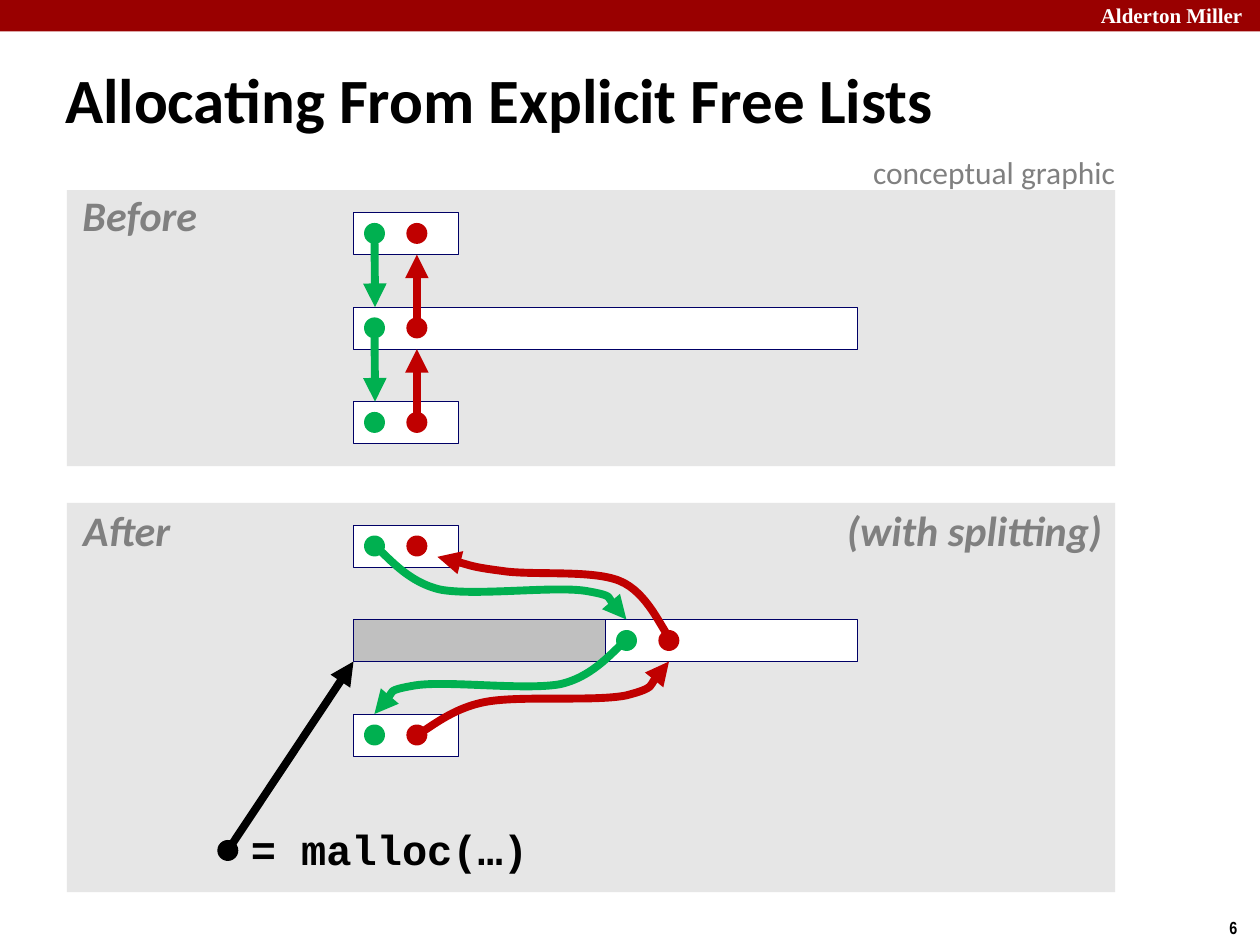
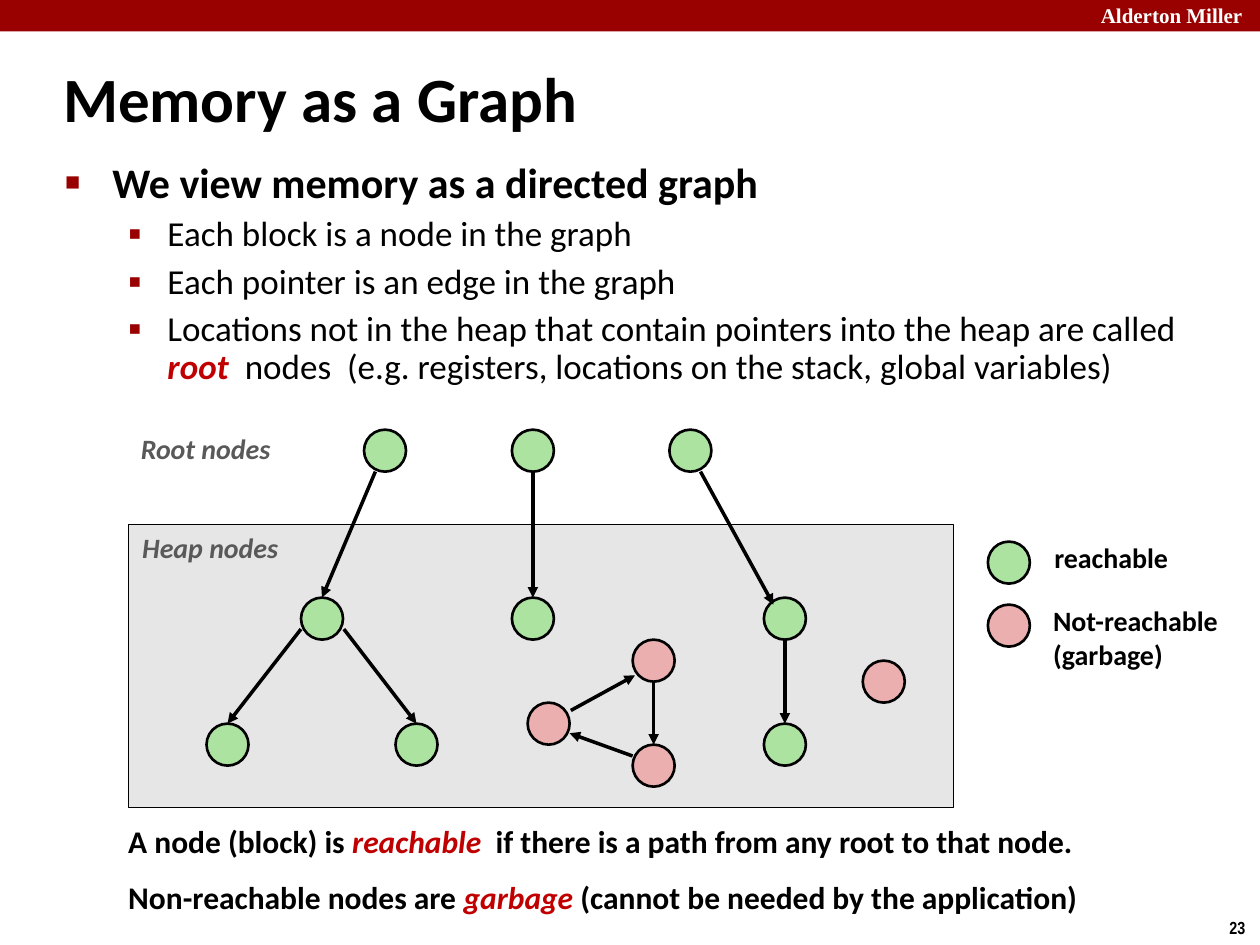
"""Build two lecture slides on explicit free lists and memory graphs."""
import lxml.etree
import pptx
import pptx.dml.color
import pptx.enum.shapes
import pptx.enum.text
import pptx.oxml.ns
import pptx.util

Pt = pptx.util.Pt
qn = pptx.oxml.ns.qn
rgb = pptx.dml.color.RGBColor.from_string
SubElement = lxml.etree.SubElement
RECT = pptx.enum.shapes.MSO_SHAPE.RECTANGLE
OVAL = pptx.enum.shapes.MSO_SHAPE.OVAL
STRAIGHT = pptx.enum.shapes.MSO_CONNECTOR.STRAIGHT
LEFT = pptx.enum.text.PP_ALIGN.LEFT
CENTER = pptx.enum.text.PP_ALIGN.CENTER

BLACK, WHITE, NAVY = "000000", "FFFFFF", "000066"
BAND, PANEL, USED = "990000", "E6E6E6", "C0C0C0"
GREEN, RED = "00B050", "C00000"
REACHABLE, GARBAGE = "ACE3A1", "EBAFAF"
GRAY, DARK_GRAY = "808080", "595959"


def paint(shape, fill=None, line=None, width=0.25):
    """Colour a filled shape, or an arrow when no fill is given."""
    if line:
        shape.line.color.rgb = rgb(line)
        shape.line.width = Pt(width)
    else:
        shape.line.fill.background()
    if fill:
        shape.fill.solid()
        shape.fill.fore_color.rgb = rgb(fill)
    else:
        SubElement(shape.line._get_or_add_ln(), qn("a:tailEnd"), type="triangle")
    SubElement(shape._element.spPr, qn("a:effectLst"))


def write(paragraph, text, size, color=BLACK, font="Calibri", bold=True, italic=False):
    """Set a paragraph's text; parts between asterisks become red bold italics."""
    first, *others = text.split("*")
    paragraph.text = first
    for part in others:
        paragraph.add_run().text = part
    for index, run in enumerate(paragraph.runs):
        marked = bool(others) and index % 2 == 1
        run.font.name = font
        run.font.size = Pt(size)
        run.font.bold = bold or marked
        run.font.italic = italic or marked
        run.font.color.rgb = rgb(RED if marked else color)


prs = pptx.Presentation()
prs.slide_width, prs.slide_height = Pt(720), Pt(540)
lists = prs.slides.add_slide(prs.slide_layouts[5])
graph = prs.slides.add_slide(prs.slide_layouts[1])
labels = []

for slide, heading, left, top, width, number in (
    (lists, "Allocating From Explicit Free Lists", 30, 36.7, 630, "6"),
    (graph, "Memory as a Graph", 28.8, 36, 499, "23"),
):
    band = slide.shapes.add_shape(RECT, 0, 0, Pt(720), Pt(18))
    paint(band, BAND)
    title = slide.shapes.title
    title.left, title.top, title.width, title.height = Pt(left), Pt(top), Pt(width), Pt(45.4)
    title.text_frame.auto_size = pptx.enum.text.MSO_AUTO_SIZE.NONE
    title.text_frame.vertical_anchor = pptx.enum.text.MSO_ANCHOR.MIDDLE
    heading_line = title.text_frame.paragraphs[0]
    write(heading_line, heading, 36)
    heading_line.alignment = LEFT
    heading_line.line_spacing = 0.87
    labels += [
        (slide, "Alderton Miller", 622, -2, 103, 21.6, 12, WHITE, "Times New Roman", False, False),
        (slide, number, 695.5, 520.6, 24.5, 19.4, 10, BLACK, "Arial Narrow", False, False),
    ]

for top, height in ((287.3, 222.5), (108.7, 157.7)):
    panel = lists.shapes.add_shape(RECT, Pt(38.2), Pt(top), Pt(599), Pt(height))
    paint(panel, PANEL)

for left, top, width, fill in (
    (202, 121.5, 60, WHITE),
    (202, 175.5, 288, WHITE),
    (202, 229.5, 60, WHITE),
    (202, 300.3, 60, WHITE),
    (346, 354, 144, WHITE),
    (202, 354, 144, USED),
    (202, 408.3, 60, WHITE),
):
    block = lists.shapes.add_shape(RECT, Pt(left), Pt(top), Pt(width), Pt(24))
    paint(block, fill, NAVY)

pointers = [(130.2, 486, BLACK)]
for next_x, y in ((214, 133.4), (214, 187.4), (214, 241.4), (214, 312), (358, 366), (214, 420)):
    pointers += [(next_x, y, GREEN), (next_x + 24.2, y, RED)]
for x, y, color in pointers:
    dot = lists.shapes.add_shape(OVAL, Pt(x - 6), Pt(y - 6), Pt(12), Pt(12))
    paint(dot, color)

links = [((130.2, 486), (202, 378), BLACK)]
for step in (0, 54):
    links += [
        ((214, 133.4 + step), (214.3, 175.5 + step), GREEN),
        ((238.2, 187.4 + step), (238.2, 145.5 + step), RED),
    ]
for start, end, color in links:
    link = lists.shapes.add_connector(STRAIGHT, *map(Pt, start + end))
    paint(link, line=color, width=4.5)

next_curve = [
    (214, 312), (220.3, 316.1), (231.8, 332.6), (252, 337), (272.2, 340.6),
    (316.8, 334.8), (334.8, 337.7), (352.1, 340.6), (353.5, 350.6), (358, 354),
]
mirrored_curve = [(572 - x, y + 54) for x, y in next_curve]
up_curve = [
    (383, 365), (378, 359.3), (370, 338.4), (354.2, 332), (338.4, 325.4),
    (303.8, 329), (286.6, 326.2), (269.3, 324), (257.8, 319.7), (250, 318.2),
]
back_curve = [
    (238.3, 419.8), (244.8, 416.9), (257.8, 404.6), (278, 401), (298, 397.4),
    (339.8, 401), (357.8, 397.4), (375, 393), (377.3, 382.3), (382.3, 378),
]
for points, color in (
    (next_curve, GREEN), (mirrored_curve, GREEN), (up_curve, RED), (back_curve, RED),
):
    (x, y), *controls = points
    builder = lists.shapes.build_freeform(Pt(x), Pt(y))
    builder.add_line_segments([(Pt(x), Pt(y)) for x, y in controls], close=False)
    curve = builder.convert_to_shape()
    curve.fill.background()
    outline = curve._element.find(".//" + qn("a:path"))
    segments = outline.findall(qn("a:lnTo"))
    for first in range(0, len(segments), 3):
        bezier = SubElement(outline, qn("a:cubicBezTo"))
        for segment in segments[first:first + 3]:
            bezier.append(segment[0])
            outline.remove(segment)
    paint(curve, line=color, width=4.5)

heap = graph.shapes.add_shape(RECT, Pt(73.5), Pt(299.5), Pt(471.6), Pt(162))
paint(heap, PANEL, BLACK, 0.5)

nodes = {}
for name, left, top, fill in (
    ("root 1", 208, 245.5, REACHABLE),
    ("root 2", 292.5, 245.5, REACHABLE),
    ("root 3", 382.5, 245.5, REACHABLE),
    ("parent", 172, 341.5, REACHABLE),
    ("single", 292.5, 341.5, REACHABLE),
    ("chain", 436.5, 341.5, REACHABLE),
    ("left child", 118, 413.5, REACHABLE),
    ("right child", 226, 413.5, REACHABLE),
    ("chain end", 436.5, 413.5, REACHABLE),
    ("cycle top", 361.5, 365.5, GARBAGE),
    ("cycle bottom", 361.5, 425.5, GARBAGE),
    ("cycle left", 301.5, 401.5, GARBAGE),
    ("lone", 493, 377.5, GARBAGE),
    ("reachable key", 564.5, 309.5, REACHABLE),
    ("garbage key", 564.5, 345.5, GARBAGE),
):
    nodes[name] = graph.shapes.add_shape(OVAL, Pt(left), Pt(top), Pt(24), Pt(24))
    paint(nodes[name], fill, BLACK, 1.5)

for start, end, target in (
    ((214.5, 269.5), (184, 341.5), "parent"),
    ((304.5, 269.5), (304.5, 341.5), "single"),
    ((400.3, 269.5), (442, 345.5), None),
    ((172, 359.5), (130, 413.5), "left child"),
    ((196.5, 359.5), (238, 413.5), "right child"),
    ((448.5, 365.5), (448.5, 413.5), "chain end"),
    ((373.5, 389.5), (373.5, 425.5), "cycle bottom"),
    ((361.5, 432), (325.5, 419), None),
    ((326.2, 406), (362.9, 385.9), None),
):
    edge = graph.shapes.add_connector(STRAIGHT, *map(Pt, start + end))
    if target:
        edge.end_connect(nodes[target], 0)
    paint(edge, line=BLACK, width=2)

body = graph.placeholders[1]
body.left, body.top, body.width, body.height = Pt(30), Pt(90), Pt(666.7), Pt(121.7)
body.text_frame.auto_size = pptx.enum.text.MSO_AUTO_SIZE.NONE
for index, point in enumerate((
    "We view memory as a directed graph",
    "Each block is a node in the graph",
    "Each pointer is an edge in the graph",
    "Locations not in the heap that contain pointers into the heap are called "
    "*root*  nodes  (e.g. registers, locations on the stack, global variables)",
)):
    item = body.text_frame.add_paragraph() if index else body.text_frame.paragraphs[0]
    if index:
        item.level = 1
        size, spacing, before, margin, hang, bullet, percent = 20, 0.9, 5.6, 58.5, 22.5, "▪", 110
    else:
        size, spacing, before, margin, hang, bullet, percent = 24, 0.85, 12.5, 27, 27, "■", 60
    write(item, point, size, bold=index == 0)
    item.line_spacing = spacing
    item.space_before = Pt(before)
    properties = item._p.get_or_add_pPr()
    properties.set("marL", str(Pt(margin)))
    properties.set("indent", str(-Pt(hang)))
    SubElement(SubElement(properties, qn("a:buClr")), qn("a:srgbClr"), val=BAND)
    SubElement(properties, qn("a:buSzPct"), val=str(percent * 1000))
    SubElement(properties, qn("a:buChar"), char=bullet)

summary = graph.shapes.add_textbox(Pt(66.2), Pt(468), Pt(583), Pt(66)).text_frame
summary.word_wrap = True
for index, sentence in enumerate((
    "A node (block) is *reachable*  if there is a path from any root to that node.",
    "Non-reachable nodes are *garbage *(cannot be needed by the application)",
)):
    line = summary.add_paragraph() if index else summary.paragraphs[0]
    write(line, sentence, 18)
    line.line_spacing = 0.95
    line.space_before = Pt(11.2)

labels += [
    (lists, "Before", 43.2, 108, 73.4, 33.8, 24, GRAY, "Calibri", True, True),
    (lists, "After", 43.2, 288, 58.3, 33.8, 24, GRAY, "Calibri", True, True),
    (lists, "(with splitting)", 479.5, 288, 154.8, 33.8, 24, GRAY, "Calibri", True, True),
    (lists, "= malloc(…)", 139, 470.2, 167, 33.8, 24, BLACK, "Courier New", False, True),
    (lists, "conceptual graphic", 491.8, 84.2, 156.2, 28.8, 18, GRAY, "Calibri", False, False),
    (graph, "Root nodes", 73.4, 243, 90.7, 26.6, 16, DARK_GRAY, "Calibri", True, False),
    (graph, "Heap nodes", 74.2, 299.5, 93.6, 26.6, 16, DARK_GRAY, "Calibri", True, False),
    (graph, "reachable", 595.4, 305.6, 80, 26.6, 16, BLACK, "Calibri", False, False),
    (graph, "Not-reachable\n(garbage)", 594.7, 341.6, 110.2, 46, 16, BLACK, "Calibri", False, False),
]
for slide, text, left, top, width, height, size, color, font, italic, centred in labels:
    frame = slide.shapes.add_textbox(Pt(left), Pt(top), Pt(width), Pt(height)).text_frame
    frame.word_wrap = False
    caption = frame.paragraphs[0]
    write(caption, text, size, color, font, text != "conceptual graphic", italic)
    if centred:
        frame.margin_left = frame.margin_right = Pt(3.6)
        caption.alignment = CENTER
        caption.line_spacing = 0.9

prs.save("out.pptx")
